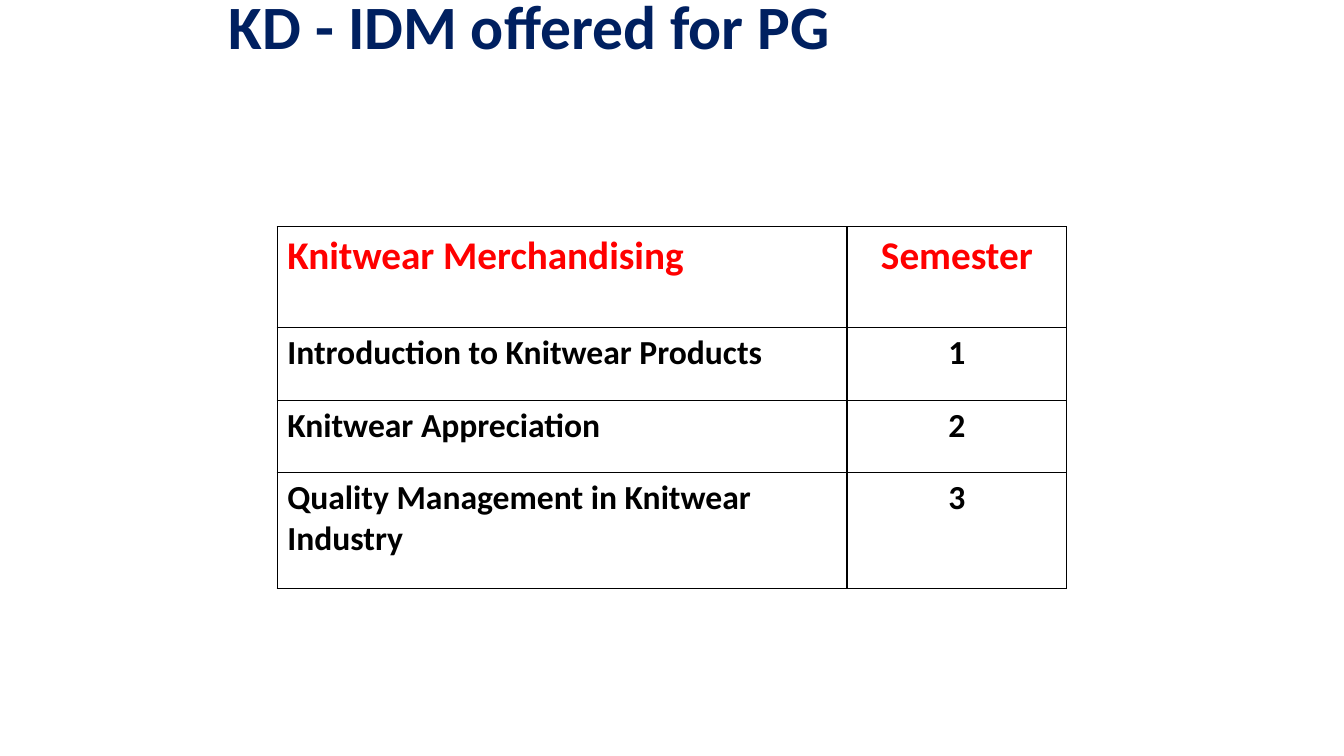
from lxml.etree import SubElement
from pptx import Presentation
from pptx.dml.color import RGBColor
from pptx.enum.text import MSO_ANCHOR, MSO_AUTO_SIZE, PP_ALIGN
from pptx.oxml.ns import qn
from pptx.util import Inches, Pt

TITLE = "KD - IDM offered for PG"
ROWS = [
    ("Knitwear Merchandising", "Semester"),
    ("Introduction to Knitwear Products", "1"),
    ("Knitwear Appreciation", "2"),
    ("Quality Management in Knitwear Industry", "3"),
]
COL_WIDTHS = [5.65, 2.18]
ROW_HEIGHTS = [1, 0.72, 0.72, 1.15]
COLORS = {"title": "002060", "header": "FF0000", "body": "000000", "border": "000000"}
FONT = "Calibri"


def write(tf, text, size, color, align=PP_ALIGN.LEFT, spacing=None):
    tf.word_wrap = True
    p = tf.paragraphs[0]
    p.alignment = align
    p.line_spacing = spacing
    r = p.add_run()
    r.text = text
    r.font.name = FONT
    r.font.size = Pt(size)
    r.font.bold = True
    r.font.color.rgb = RGBColor.from_string(COLORS[color])


def add_borders(cell, width=1):
    tcPr = cell._tc.get_or_add_tcPr()
    for i, side in enumerate(("lnL", "lnR", "lnT", "lnB")):
        ln = SubElement(tcPr, qn(f"a:{side}"), w=str(Pt(width)))
        fill = SubElement(ln, qn("a:solidFill"))
        SubElement(fill, qn("a:srgbClr"), val=COLORS["border"])
        tcPr.insert(i, ln)  # borders come before the cell fill


def add_title(s):
    title = s.shapes.title
    title.left, title.top = Inches(2.17), Inches(-0.33)
    title.width, title.height = Inches(9), Inches(1.25)
    tf = title.text_frame
    tf.auto_size = MSO_AUTO_SIZE.NONE
    tf.vertical_anchor = MSO_ANCHOR.MIDDLE
    write(tf, TITLE, 44, "title", spacing=0.9)


def add_course_table(s):
    table = s.shapes.add_table(
        len(ROWS), len(COL_WIDTHS), Inches(2.75), Inches(2.25),
        Inches(sum(COL_WIDTHS)), Inches(sum(ROW_HEIGHTS))).table
    table.first_row = table.horz_banding = False
    for col, width in zip(table.columns, COL_WIDTHS):
        col.width = Inches(width)
    for row, height in zip(table.rows, ROW_HEIGHTS):
        row.height = Inches(height)
    for i, texts in enumerate(ROWS):
        size, color = (24, "body") if i else (28, "header")
        for j, text in enumerate(texts):
            cell = table.cell(i, j)
            cell.fill.background()
            add_borders(cell)
            write(cell.text_frame, text, size, color,
                  align=PP_ALIGN.CENTER if j else PP_ALIGN.LEFT)


def main():
    prs = Presentation()
    prs.slide_width, prs.slide_height = Inches(13.33), Inches(7.5)
    s = prs.slides.add_slide(prs.slide_layouts[5])
    add_title(s)
    add_course_table(s)
    prs.save("out.pptx")


if __name__ == "__main__":
    main()
